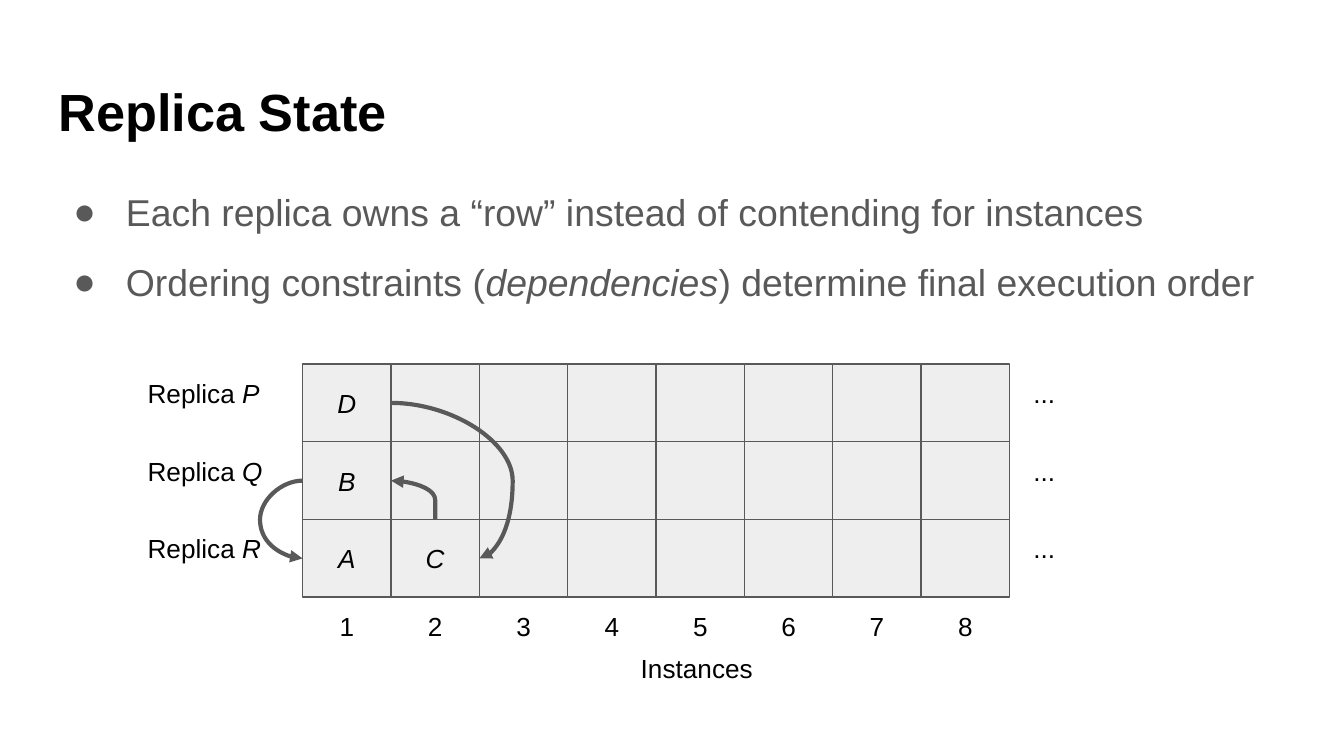
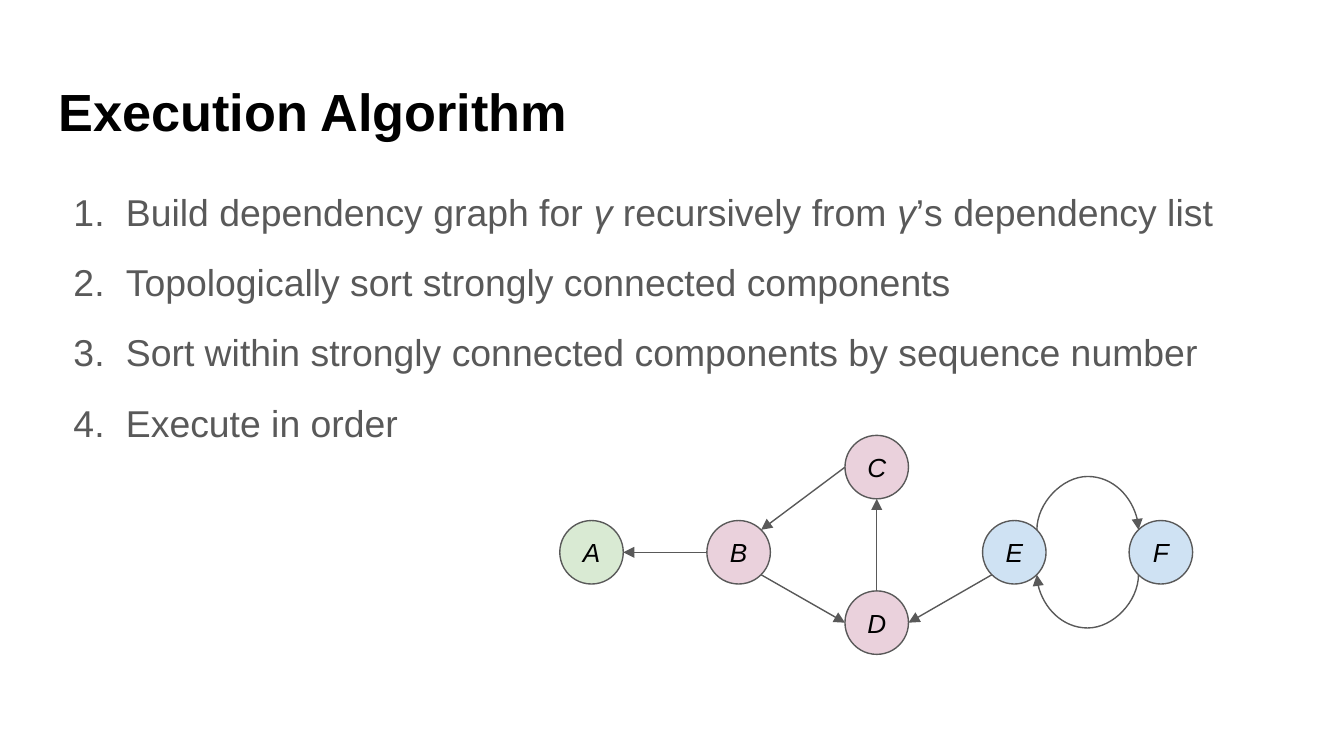
from dataclasses import dataclass
from math import cos, radians, sin

from lxml import etree
from pptx import Presentation
from pptx.dml.color import RGBColor
from pptx.enum import shapes, text
from pptx.oxml.ns import qn
from pptx.util import Cm, Pt


@dataclass(frozen=True)
class Theme:
    """Colours, type sizes and line widths shared by the slides."""
    font: str = "Arial"
    ink: str = "000000"
    grey: str = "595959"
    cell: str = "EEEEEE"
    green: str = "D9EAD3"
    pink: str = "EAD1DC"
    blue: str = "CFE2F3"
    title: int = 28
    body: int = 20
    label: int = 14
    thin: float = 0.75
    thick: float = 2.25


THEME = Theme()
RECT = shapes.MSO_SHAPE.RECTANGLE
OVAL = shapes.MSO_SHAPE.OVAL
MID = text.PP_ALIGN.CENTER
LEFT = text.PP_ALIGN.LEFT


def sub(parent, tag, **attrs):
    """Append a child element and return it."""
    return etree.SubElement(parent, qn(tag), **attrs)


def style(para, size, color, align=LEFT, bold=False):
    """Set the font and alignment of a paragraph."""
    para.alignment = align
    font = para.font
    font.name, font.size, font.bold = THEME.font, Pt(size), bold
    font.color.rgb = RGBColor.from_string(color)


def write(para, words):
    """Add runs, with the parts between asterisks in italics."""
    for i, part in enumerate(words.split("*")):
        if part:
            run = para.add_run()
            run.text = part
            if i % 2:
                run.font.italic = True


def pad(frame, anchor=text.MSO_ANCHOR.TOP):
    """Give a text frame its insets, wrapping and anchor."""
    frame.margin_left = frame.margin_right = Cm(0.25)
    frame.margin_top = frame.margin_bottom = Cm(0.25)
    frame.word_wrap = True
    frame.auto_size = text.MSO_AUTO_SIZE.NONE
    frame.vertical_anchor = anchor


def place(shape, x, y, w, h):
    """Move and size a shape in centimetres."""
    shape.left, shape.top, shape.width, shape.height = map(Cm, (x, y, w, h))


def start(prs, title):
    """Add a slide with its title."""
    slide = prs.slides.add_slide(prs.slide_layouts[5])
    head = slide.shapes.title
    place(head, 0.86, 1.24, 23.67, 1.6)
    pad(head.text_frame)
    para = head.text_frame.paragraphs[0]
    write(para, title)
    style(para, THEME.title, THEME.ink, bold=True)
    return slide


def items(slide, lines, mark, **attrs):
    """Add the list of main points with the given bullet element."""
    box = slide.shapes.add_textbox(Cm(0.86), Cm(3.2), Cm(23.67), Cm(9.7))
    frame = box.text_frame
    pad(frame)
    for i, line in enumerate(lines):
        para = frame.add_paragraph() if i else frame.paragraphs[0]
        write(para, line)
        para.line_spacing = 1.15
        if i:
            para.space_before = Pt(10)
        props = para._p.get_or_add_pPr()
        props.set("marL", str(Cm(1.27)))
        props.set("indent", str(-Cm(0.99)))
        sub(sub(props, "a:buClr"), "a:srgbClr", val=THEME.grey)
        sub(props, "a:buFont", typeface=THEME.font)
        sub(props, mark, **attrs)
        style(para, THEME.body, THEME.grey)


def label(slide, words, x, y, w, h, align=LEFT):
    """Add a small text label."""
    box = slide.shapes.add_textbox(Cm(x), Cm(y), Cm(w), Cm(h))
    pad(box.text_frame)
    para = box.text_frame.paragraphs[0]
    write(para, words)
    style(para, THEME.label, THEME.ink, align)


def block(slide, kind, words, x, y, w, h, fill):
    """Add an outlined shape with an optional italic letter."""
    shape = slide.shapes.add_shape(kind, Cm(x), Cm(y), Cm(w), Cm(h))
    shape.shadow.inherit = False
    shape.fill.solid()
    shape.fill.fore_color.rgb = RGBColor.from_string(fill)
    shape.line.color.rgb = RGBColor.from_string(THEME.grey)
    shape.line.width = Pt(THEME.thin)
    if words:
        pad(shape.text_frame, text.MSO_ANCHOR.MIDDLE)
        para = shape.text_frame.paragraphs[0]
        write(para, f"*{words}*")
        style(para, THEME.label, THEME.ink, MID)
    return shape


def spot(shape, site):
    """Return the point of a connection site, counted leftwards from the top."""
    count = 8 if shape.auto_shape_type == OVAL else 4
    turn = radians(90 + site * 360 / count)
    x = shape.left + shape.width / 2 * (1 + cos(turn))
    y = shape.top + shape.height / 2 * (1 - sin(turn))
    return round(x), round(y)


def finish(line, first, last, width, tip):
    """Join a connector to its (shape, site) ends and style it."""
    joint = line.element.nvCxnSpPr.cNvCxnSpPr
    for tag, (shape, site) in (("a:stCxn", first), ("a:endCxn", last)):
        sub(joint, tag, id=str(shape.shape_id), idx=str(site))
    line.line.color.rgb = RGBColor.from_string(THEME.grey)
    line.line.width = Pt(width)
    sub(line.line._get_or_add_ln(), tip, type="triangle")
    sub(line.element.spPr, "a:effectLst")


def arrow(slide, first, last):
    """Draw a straight arrow between two sites."""
    line = slide.shapes.add_connector(
        shapes.MSO_CONNECTOR.STRAIGHT, *spot(*first), *spot(*last))
    finish(line, first, last, THEME.thin, "a:tailEnd")


def curve(slide, first, last, turn, flip, reach, width, tip):
    """Draw a curved arrow that swings out by reach centimetres."""
    (ax, ay), (bx, by) = spot(*first), spot(*last)
    w, h = abs(bx - ax), abs(by - ay)
    if turn % 180:
        w, h = h, w
    w = max(w, 600)
    line = slide.shapes.add_connector(shapes.MSO_CONNECTOR.CURVE, 0, 0, 0, 0)
    line.left, line.top = (ax + bx - w) // 2, (ay + by - h) // 2
    line.width, line.height = w, h
    frame = line.element.spPr.find(qn("a:xfrm"))
    frame.set("rot", str(turn * 60000))
    if flip:
        frame.set("flipH", "1")
    bend = round(Cm(reach) / w * 100000)
    guides = line.element.spPr.find(qn("a:prstGeom")).find(qn("a:avLst"))
    sub(guides, "a:gd", name="adj1", fmla=f"val {bend}")
    finish(line, first, last, width, tip)


def state(prs):
    """Build the slide with the grid of replicas and instances."""
    slide = start(prs, "Replica State")
    items(slide, (
        "Each replica owns a “row” instead of contending for instances",
        "Ordering constraints (*dependencies*) determine final execution order",
    ), "a:buChar", char="●")
    x, y, w, h, cols = 5.72, 6.88, 1.67, 1.47, 8
    rows = (("P", "D"), ("Q", "B"), ("R", "AC"))
    cells = {}
    for r, (name, marks) in enumerate(rows):
        top = y + r * h
        label(slide, f"Replica *{name}*", 2.54, top, 2.77, h)
        label(slide, "...", 19.28, top, 2.77, h)
        for c, mark in enumerate(marks.ljust(cols)):
            mark = mark.strip()
            cell = block(slide, RECT, mark, x + c * w, top, w, h, THEME.cell)
            if mark:
                cells[mark] = cell
    for c in range(cols):
        label(slide, str(c + 1), x + (c + 0.5) * w - 0.45,
              y + len(rows) * h, 0.9, 1.07, MID)
    label(slide, "Instances", 11.86, 12.09, 2.77, 1.6)
    for a, i, b, j, turn, flip, reach in (
        ("B", 3, "C", 0, 0, False, w / 2),
        ("C", 3, "D", 3, 180, False, -0.63),
        ("A", 1, "B", 1, 180, True, -0.67),
    ):
        curve(slide, (cells[a], i), (cells[b], j), turn, flip, reach,
              THEME.thick, "a:headEnd")


def steps(prs):
    """Build the slide with the algorithm and its dependency graph."""
    slide = start(prs, "Execution Algorithm")
    items(slide, (
        "Build dependency graph for *γ* recursively from *γ*’s dependency list",
        "Topologically sort strongly connected components",
        "Sort within strongly connected components by sequence number",
        "Execute in order",
    ), "a:buAutoNum", type="arabicPeriod")
    nodes = {
        name: block(slide, OVAL, name, x, y, 1.2, 1.2, fill)
        for name, x, y, fill in (
            ("A", 10.58, 9.84, THEME.green),
            ("B", 13.36, 9.84, THEME.pink),
            ("C", 15.97, 8.23, THEME.pink),
            ("D", 15.97, 11.17, THEME.pink),
            ("E", 18.57, 9.84, THEME.blue),
            ("F", 21.34, 9.84, THEME.blue),
        )
    }
    for a, i, b, j in (("B", 2, "A", 6), ("C", 2, "B", 7), ("B", 5, "D", 2),
                       ("D", 0, "C", 4), ("E", 3, "D", 6)):
        arrow(slide, (nodes[a], i), (nodes[b], j))
    for a, i, b, j, turn, flip, reach in (
        ("F", 3, "E", 5, 90, False, 0.84),
        ("E", 7, "F", 1, 270, True, -0.84),
    ):
        curve(slide, (nodes[a], i), (nodes[b], j), turn, flip, reach,
              THEME.thin, "a:tailEnd")


def main():
    """Build and save the slides."""
    prs = Presentation()
    prs.slide_width, prs.slide_height = Cm(25.4), Cm(14.29)
    state(prs)
    steps(prs)
    prs.save("out.pptx")


if __name__ == "__main__":
    main()
